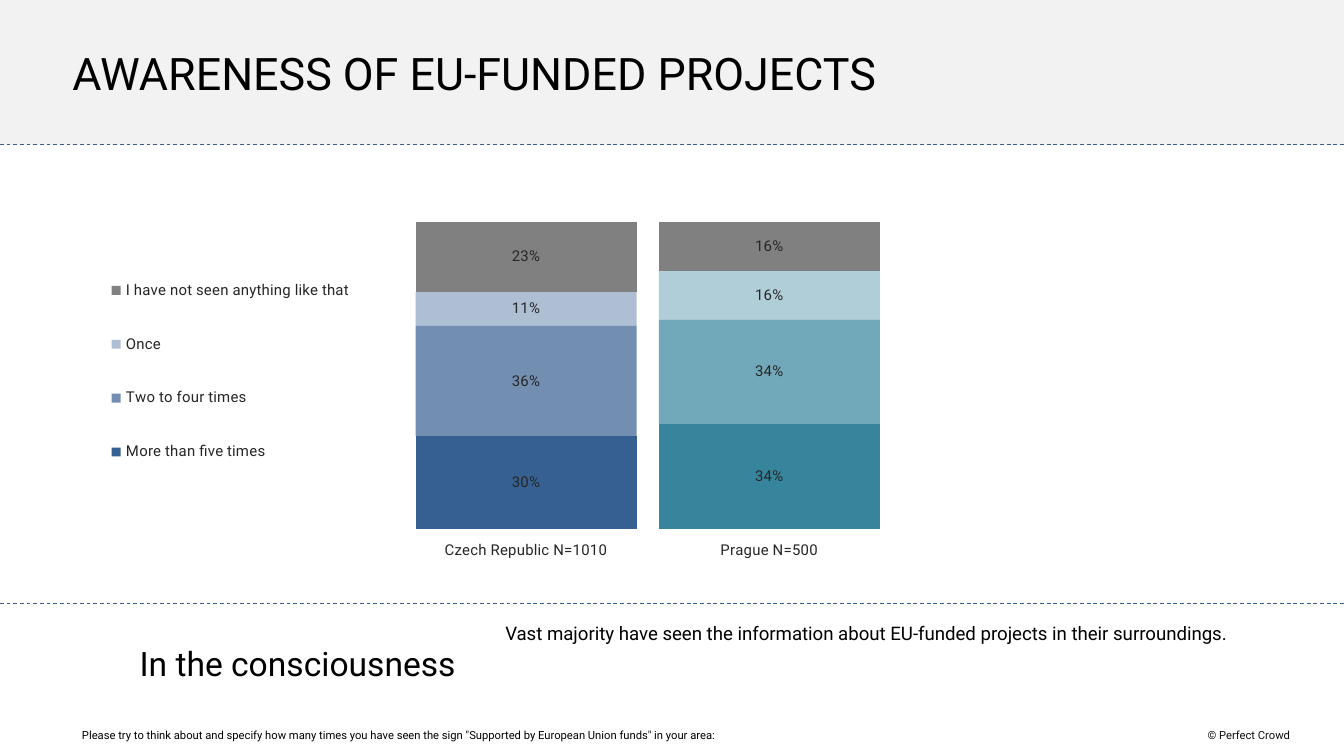
from lxml import etree
from pptx import Presentation
from pptx.chart.data import CategoryChartData
from pptx.dml.color import RGBColor
from pptx.enum.chart import XL_CHART_TYPE, XL_LABEL_POSITION, XL_LEGEND_POSITION, XL_TICK_LABEL_POSITION, XL_TICK_MARK
from pptx.enum.dml import MSO_LINE
from pptx.enum.shapes import MSO_CONNECTOR, MSO_SHAPE
from pptx.enum.text import MSO_ANCHOR, PP_ALIGN
from pptx.oxml import parse_xml
from pptx.oxml.ns import nsdecls, qn
from pptx.util import Cm, Pt

STACKED = XL_CHART_TYPE.COLUMN_STACKED_100
CENTER = XL_LABEL_POSITION.CENTER
LEGEND_LEFT = XL_LEGEND_POSITION.LEFT
LABELS_LOW = XL_TICK_LABEL_POSITION.LOW
NO_LABELS = XL_TICK_LABEL_POSITION.NONE
NO_TICKS = XL_TICK_MARK.NONE
DASH = MSO_LINE.DASH
STRAIGHT = MSO_CONNECTOR.STRAIGHT
RECTANGLE = MSO_SHAPE.RECTANGLE
TOP, MIDDLE = MSO_ANCHOR.TOP, MSO_ANCHOR.MIDDLE
LEFT, RIGHT = PP_ALIGN.LEFT, PP_ALIGN.RIGHT

FONT = "Roboto"
COLORS = {
    "band": "F2F2F2",
    "black": "000000",
    "credit": "0D0D0D",
    "chart text": "262626",
    "country": "376092",
    "city": "37859D",
    "unseen": "808080",
}
WIDTH, HEIGHT = 25.4, 14.29
HEADER_HEIGHT = 2.74
FORMAT = "###0%"
CATEGORIES = ["Czech Republic N=1010", "Prague N=500"]
# name, values, colours by category, opacity in percent
SERIES = [
    ("More than five times", (0.3, 0.34), ("country", "city"), 100),
    ("Two to four times", (0.36, 0.34), ("country", "city"), 70),
    ("Once", (0.11, 0.16), ("country", "city"), 40),
    ("I have not seen anything like that", (0.23, 0.16), ("unseen", "unseen"), 100),
]


class SlideBuilder:
    """Draws styled elements on the current slide."""

    def __init__(self, slide):
        self.slide = slide

    def color(self, name):
        return RGBColor.from_string(COLORS[name])

    def style(self, font, size, color):
        font.name = FONT
        font.size = Pt(size)
        font.color.rgb = self.color(color)

    def fill(self, fill, color, opacity=100):
        fill.solid()
        fill.fore_color.rgb = self.color(color)
        if opacity < 100:
            for element in fill._xPr.iter(qn("a:srgbClr")):
                etree.SubElement(element, qn("a:alpha")).set("val", str(opacity * 1000))

    def band(self, left, top, width, height, color):
        shape = self.slide.shapes.add_shape(RECTANGLE, Cm(left), Cm(top), Cm(width), Cm(height))
        shape.shadow.inherit = False
        self.fill(shape.fill, color)
        shape.line.fill.background()

    def rule(self, top):
        line = self.slide.shapes.add_connector(STRAIGHT, 0, Cm(top), Cm(WIDTH), Cm(top))
        line.line.color.rgb = self.color("country")
        line.line.width = Pt(0.5)
        line.line.dash_style = DASH
        etree.SubElement(line._element.spPr, qn("a:effectLst"))

    def text(self, text, left, top, width, height, size, color="black", anchor=MIDDLE, align=LEFT):
        shape = self.slide.shapes.add_textbox(Cm(left), Cm(top), Cm(width), Cm(height))
        frame = shape.text_frame
        frame.word_wrap = True
        frame.vertical_anchor = anchor
        paragraph = frame.paragraphs[0]
        paragraph.text = text
        paragraph.alignment = align
        self.style(paragraph.font, size, color)

    def layout(self, x, y, width, height, inner=False):
        target = '<c:layoutTarget val="inner"/>' if inner else ""
        return parse_xml(
            f'<c:layout {nsdecls("c")}><c:manualLayout>{target}'
            '<c:xMode val="edge"/><c:yMode val="edge"/>'
            f'<c:x val="{x}"/><c:y val="{y}"/><c:w val="{width}"/><c:h val="{height}"/>'
            "</c:manualLayout></c:layout>"
        )

    def chart(self, left, top, width, height):
        data = CategoryChartData(number_format=FORMAT)
        data.categories = CATEGORIES
        for name, values, _, _ in SERIES:
            data.add_series(name, values)
        frame = self.slide.shapes.add_chart(STACKED, Cm(left), Cm(top), Cm(width), Cm(height), data)
        chart = frame.chart
        chart.has_title = False
        self.style(chart.font, 8, "chart text")
        self.legend(chart)
        self.axes(chart)

        plot = chart.plots[0]
        plot.gap_width, plot.overlap = 10, 100
        plot.vary_by_categories = False
        for series, (_, _, colors, opacity) in zip(plot.series, SERIES):
            self.fill(series.format.fill, colors[0], opacity)
            if colors[1] != colors[0]:
                self.fill(series.points[1].format.fill, colors[1], opacity)
            labels = series.data_labels
            labels.show_value = True
            labels.number_format = FORMAT
            labels.number_format_is_linked = False
            labels.position = CENTER
            self.style(labels.font, 8, "chart text")

        area = chart._chartSpace.chart.plotArea
        for element in area.findall(qn("c:layout")):
            area.remove(element)
        area.insert(0, self.layout(0.33, 0.09, 0.49, 0.77, inner=True))

    def legend(self, chart):
        chart.has_legend = True
        legend = chart.legend
        legend.position = LEGEND_LEFT
        legend.include_in_layout = False
        self.style(legend.font, 8, "chart text")
        element = legend._element
        for layout in element.findall(qn("c:layout")):
            element.remove(layout)
        element.find(qn("c:legendPos")).addnext(self.layout(0.02, 0.15, 0.27, 0.63))

    def axes(self, chart):
        for axis, labels in ((chart.category_axis, LABELS_LOW), (chart.value_axis, NO_LABELS)):
            axis.has_major_gridlines = False
            axis.major_tick_mark = axis.minor_tick_mark = NO_TICKS
            axis.tick_label_position = labels
            axis.format.line.fill.background()
            self.style(axis.tick_labels.font, 8, "chart text")
        chart.value_axis.minimum_scale, chart.value_axis.maximum_scale = 0, 1


def main():
    presentation = Presentation()
    presentation.slide_width, presentation.slide_height = Cm(WIDTH), Cm(HEIGHT)
    builder = SlideBuilder(presentation.slides.add_slide(presentation.slide_layouts[6]))

    builder.band(0, 0, WIDTH, HEADER_HEIGHT, "band")
    for top in (HEADER_HEIGHT, 11.4):
        builder.rule(top)
    builder.text("© Perfect Crowd", 22.45, 13.64, 2.18, 0.51, 6, "credit", align=RIGHT)
    builder.text("In the consciousness", 2.39, 11.63, 6.91, 1.8, 18)
    builder.text("AWARENESS OF EU-FUNDED PROJECTS", 1.12, 0, 23.19, HEADER_HEIGHT, 24)
    builder.text(
        "Please try to think about and specify how many times you have seen the sign "
        '"Supported by European Union funds" in your area:',
        1.3, 13.51, 21.36, 0.76, 6,
    )
    builder.text(
        "Vast majority have seen the information about EU-funded projects in their surroundings.",
        9.3, 11.63, 15.34, 1.8, 10, anchor=TOP,
    )
    builder.chart(1.45, 3.51, 18.77, 7.54)
    presentation.save("out.pptx")


if __name__ == "__main__":
    main()
